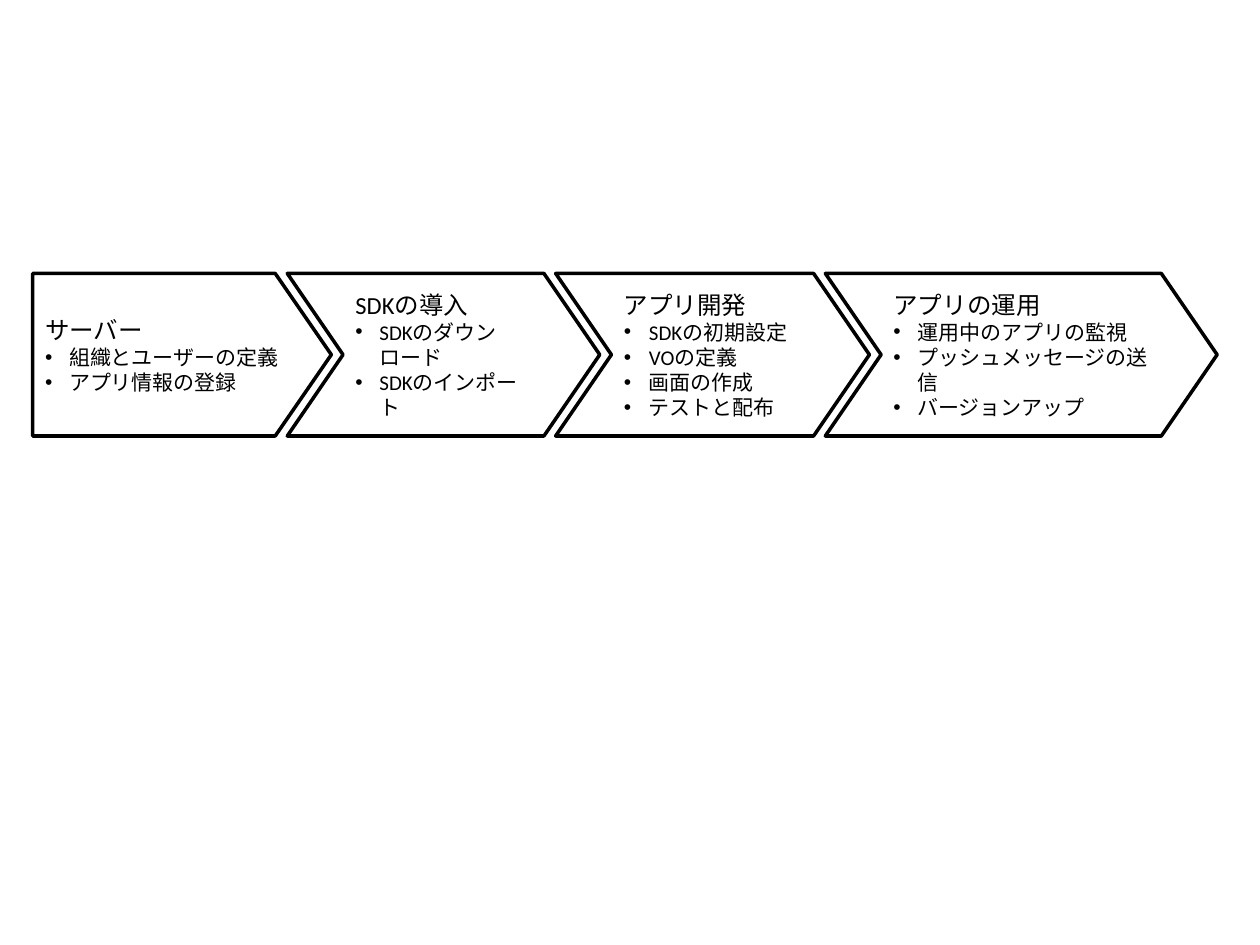
from lxml.etree import SubElement
from pptx import Presentation
from pptx.dml.color import RGBColor
from pptx.enum.shapes import MSO_SHAPE as Shape
from pptx.enum.text import MSO_ANCHOR as Anchor, PP_ALIGN as Align
from pptx.oxml.ns import qn
from pptx.util import Inches, Pt

BLACK, WHITE = "000000", "FFFFFF"
OVERLAP = 0.35
STEPS = [
    (2.37, 0.19, "サーバー", ["組織とユーザーの定義", "アプリ情報の登録"]),
    (2.48, 0.19, "SDKの導入", ["SDKのダウンロード", "SDKのインポート"]),
    (2.49, 0.2, "アプリ開発", ["SDKの初期設定", "VOの定義", "画面の作成", "テストと配布"]),
    (3.11, 0.19, "アプリの運用",
     ["運用中のアプリの監視", "プッシュメッセージの送信", "バージョンアップ"]),
]


def paint(color_format, color):
    """Set a colour from a hex string."""
    color_format.rgb = RGBColor.from_string(color)


def write(paragraph, text, size=12, color=BLACK, font="Calibri", indent=0):
    """Write one left-aligned paragraph, bulleted when it has an indent."""
    paragraph.alignment = Align.LEFT
    run = paragraph.add_run()
    run.text = text
    run.font.size = Pt(size)
    run.font.name = font
    paint(run.font.color, color)
    if indent:
        props = paragraph._p.get_or_add_pPr()
        props.set("marL", str(Inches(indent)))
        props.set("indent", str(-Inches(indent)))
        SubElement(props, qn("a:buFont")).set("typeface", "Arial")
        SubElement(props, qn("a:buChar")).set("char", "•")


def add_step(slide, box, kind, point, indent, heading, tasks):
    """Draw one process arrow with its heading and tasks in the given box."""
    arrow = slide.shapes.add_shape(kind, *map(Inches, box))
    arrow.adjustments[0] = point
    arrow.shadow.inherit = False
    arrow.fill.solid()
    paint(arrow.fill.fore_color, WHITE)
    arrow.line.width = Pt(2)
    paint(arrow.line.color, BLACK)
    SubElement(arrow.line._get_or_add_ln(), qn("a:round"))
    frame = arrow.text_frame
    frame.word_wrap = True
    frame.vertical_anchor = Anchor.MIDDLE
    write(frame.paragraphs[0], heading, size=14)
    for task in tasks:
        write(frame.add_paragraph(), task, indent=indent)


def add_process(slide, left, top, height):
    """Lay the steps out in a row, each nested into the one before."""
    for index, (width, indent, heading, tasks) in enumerate(STEPS):
        kind, point = (Shape.CHEVRON, 0.343) if index else (Shape.PENTAGON, 0.345)
        add_step(slide, (left, top, width, height), kind, point, indent, heading, tasks)
        left += width - OVERLAP


deck = Presentation()
deck.slide_width, deck.slide_height = Inches(10), Inches(7.5)
process_slide = deck.slides.add_slide(deck.slide_layouts[6])
add_process(process_slide, 0.26, 2.17, 1.29)
deck.save("out.pptx")
